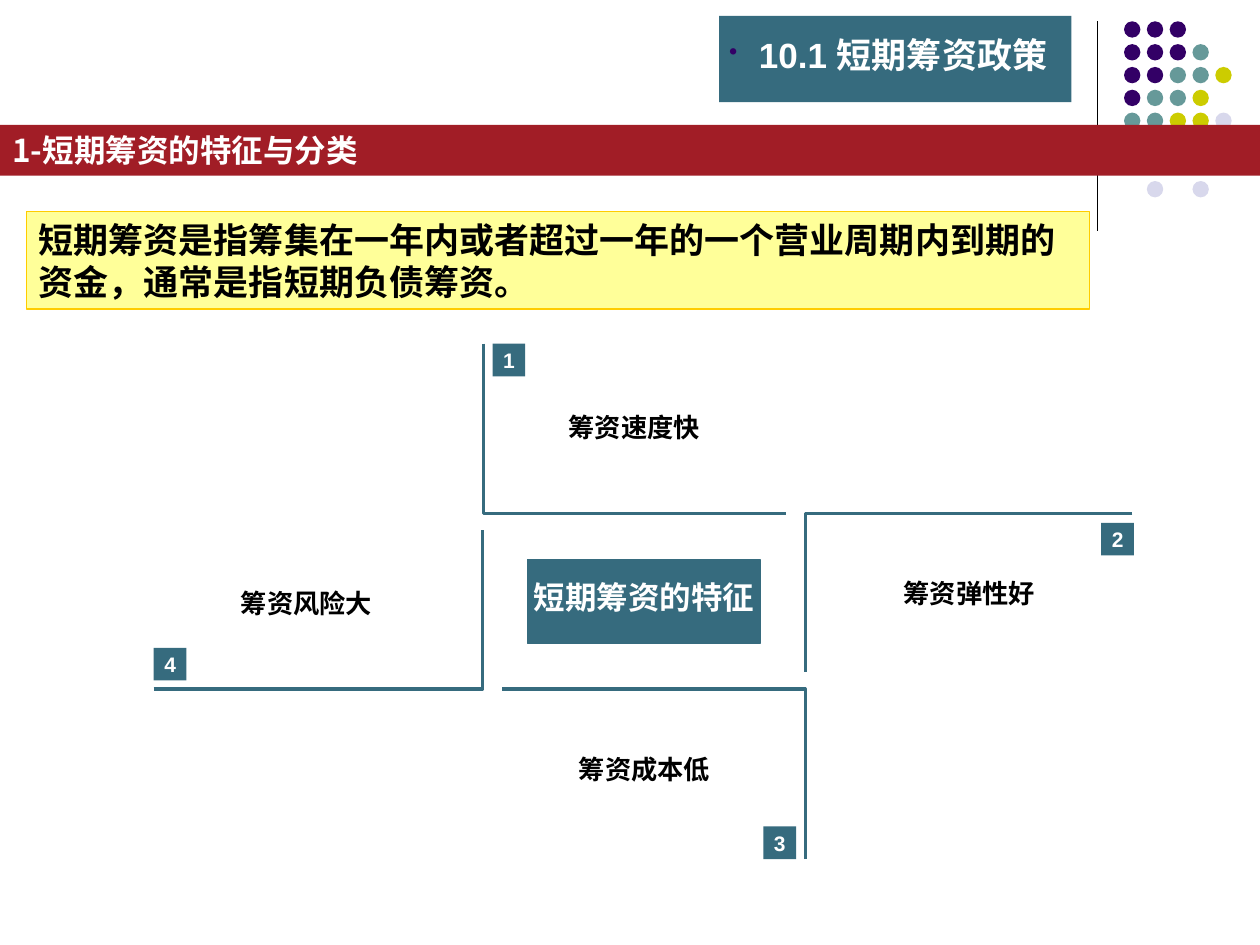
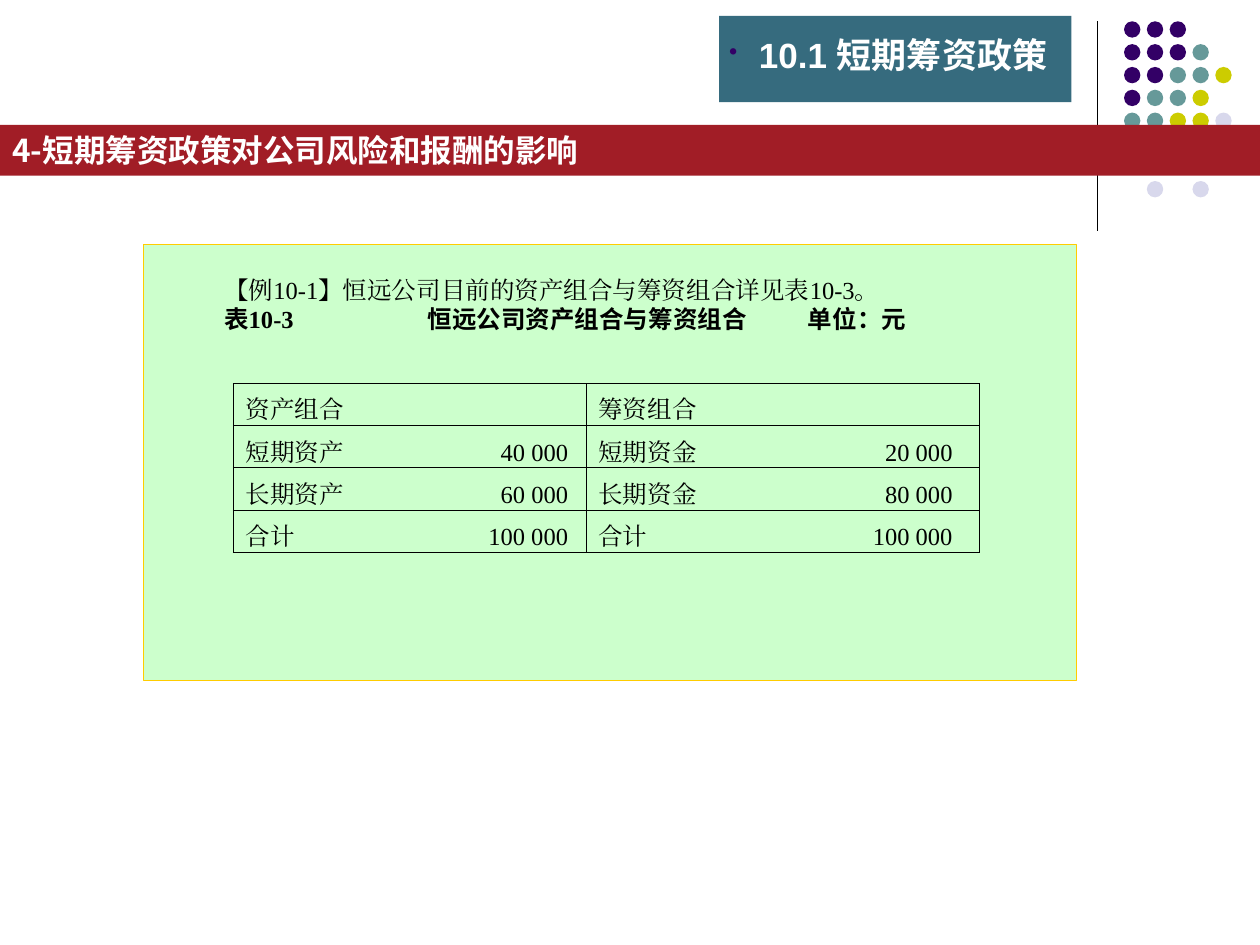
"""Build two slides on short-term financing policy."""
from lxml import etree
from pptx import Presentation
from pptx.dml.color import RGBColor
from pptx.enum import shapes, text
from pptx.oxml import ns
from pptx.util import Cm, Pt

COLORS = {
    "purple": "330066", "sage": "669999", "lime": "CCCC00", "lavender": "D8D8EC",
    "teal": "366B7E", "red": "A11D26", "yellow": "FFFF99", "green": "CCFFCC",
    "gold": "FFCC00", "black": "000000", "white": "FFFFFF",
}
SANS, CJK, SERIF = "Arial", "Noto Sans CJK SC", "Times New Roman"
DOT_ROWS = ("PPP", "PPPT", "PPTTY", "PTTY", "TTYYL", "", "YYLL", " L L")
DOT_COLORS = {"P": "purple", "T": "sage", "Y": "lime", "L": "lavender"}
FEATURES = (
    ("1", "筹资速度快", (9.93, 6.93), (9.75, 8.28, 6.07),
     ((9.75, 6.93), (9.75, 10.36), (15.85, 10.36))),
    ("2", "筹资弹性好", (22.2, 10.54), (18.08, 11.63, 2.92),
     ((22.83, 10.36), (16.23, 10.36), (16.23, 13.54))),
    ("3", "筹资成本低", (15.39, 16.66), (9.96, 15.19, 6.07),
     ((16.23, 17.32), (16.23, 13.89), (10.13, 13.89))),
    ("4", "筹资风险大", (3.1, 13.06), (4.72, 11.84, 2.92),
     ((3.1, 13.89), (9.73, 13.89), (9.73, 10.69))),
)
PORTFOLIO = (
    ("资产组合", "筹资组合"),
    ("短期资产\t40 000", "短期资金\t20 000"),
    ("长期资产\t60 000", "长期资金\t80 000"),
    ("合计\t100 000", "合计\t100 000"),
)


def rgb(color):
    """Return the named colour."""
    return RGBColor.from_string(COLORS[color])


def add_xml(parent, tag, **attrs):
    """Append a DrawingML element."""
    return etree.SubElement(parent, ns.qn(tag), attrs)


def add_run(p, words, size, color="black", font=SANS, bold=True):
    """Add a run with one face for Latin and East Asian text."""
    r = p.add_run()
    r.text = words
    r.font.size, r.font.bold, r.font.name = Pt(size), bold, font
    r.font.color.rgb = rgb(color)
    add_xml(r._r.get_or_add_rPr(), "a:ea", typeface=font)


def add_tabs(p, *stops):
    """Set tab stops given as (position in cm, alignment)."""
    tabs = add_xml(p._p.get_or_add_pPr(), "a:tabLst")
    for pos, align in stops:
        add_xml(tabs, "a:tab", pos=str(Cm(pos)), algn=align)


def add_bullet(p, color):
    """Give a paragraph a small round bullet."""
    pPr = p._p.get_or_add_pPr()
    pPr.set("marL", str(Cm(0.6)))
    pPr.set("indent", str(-Cm(0.6)))
    add_xml(add_xml(pPr, "a:buClr"), "a:srgbClr", val=COLORS[color])
    add_xml(pPr, "a:buSzPct", val="70000")
    add_xml(pPr, "a:buChar", char="•")


def setup_frame(sp, margins=(0, 0, 0, 0), align=text.PP_ALIGN.LEFT,
                anchor=text.MSO_ANCHOR.MIDDLE):
    """Prepare the text frame and return its first paragraph."""
    tf = sp.text_frame
    tf.word_wrap = True
    tf.vertical_anchor = anchor
    tf.margin_left, tf.margin_top, tf.margin_right, tf.margin_bottom = map(Cm, margins)
    p = tf.paragraphs[0]
    p.alignment = align
    return p


def add_box(s, x, y, w, h, fill, line=None, kind=shapes.MSO_SHAPE.RECTANGLE):
    """Add a filled shape without shadow."""
    sp = s.shapes.add_shape(kind, Cm(x), Cm(y), Cm(w), Cm(h))
    sp.shadow.inherit = False
    sp.fill.solid()
    sp.fill.fore_color.rgb = rgb(fill)
    if line:
        sp.line.color.rgb = rgb(line)
        sp.line.width = Pt(0.75)
    else:
        sp.line.fill.background()
    return sp


def add_bracket(s, points):
    """Draw an open corner line through three points."""
    start, *rest = [(Cm(x), Cm(y)) for x, y in points]
    builder = s.shapes.build_freeform(*start)
    builder.add_line_segments(rest, close=False)
    sp = builder.convert_to_shape()
    sp.shadow.inherit = False
    sp.fill.background()
    sp.line.color.rgb = rgb("teal")
    sp.line.width = Pt(1.75)


def add_decoration(s):
    """Draw the vertical rule and the dot pattern."""
    rule = s.shapes.add_connector(shapes.MSO_CONNECTOR.STRAIGHT,
                                  Cm(22.12), Cm(0.43), Cm(22.12), Cm(4.65))
    rule.line.color.rgb = rgb("black")
    rule.line.width = Pt(0.75)
    add_xml(rule._element.spPr, "a:effectLst")
    for row, codes in enumerate(DOT_ROWS):
        for col, code in enumerate(codes):
            if code in DOT_COLORS:
                add_box(s, 22.66 + 0.46 * col, 0.43 + 0.46 * row, 0.33, 0.33,
                        DOT_COLORS[code], kind=shapes.MSO_SHAPE.OVAL)


def add_base_slide(prs, heading):
    """Add a slide with decoration, chapter title and heading band."""
    s = prs.slides.add_slide(prs.slide_layouts[6])
    add_decoration(s)
    p = setup_frame(add_box(s, 14.5, 0.32, 7.1, 1.74, "teal"), (0.2, 0, 0, 0.17))
    add_bullet(p, "purple")
    add_run(p, "10.1 短期筹资政策", 20, "white")
    p = setup_frame(add_box(s, 0, 2.52, 25.4, 1.02, "red"), (0.25, 0, 0.25, 0))
    add_run(p, heading, 18, "white", CJK)
    return s


def add_feature(s, number, label, badge_at, label_at, points):
    """Add one feature: bracket, numbered badge and label."""
    center = text.PP_ALIGN.CENTER
    add_bracket(s, points)
    badge = add_box(s, *badge_at, 0.66, 0.66, "teal")
    add_run(setup_frame(badge, align=center), number, 12, "white")
    x, y, w = map(Cm, label_at)
    box = s.shapes.add_textbox(x, y, w, Cm(0.64))
    add_run(setup_frame(box, align=center), label, 15)


def add_cell_borders(cell):
    """Draw thin black borders around a cell."""
    tcPr = cell._tc.get_or_add_tcPr()
    for side in "LRTB":
        ln = add_xml(tcPr, f"a:ln{side}", w=str(Pt(0.45)))
        add_xml(add_xml(ln, "a:solidFill"), "a:srgbClr", val=COLORS["black"])


def add_portfolio_table(s):
    """Add the asset and financing mix table."""
    table = s.shapes.add_table(len(PORTFOLIO), 2, Cm(4.7), Cm(7.73),
                               Cm(15.04), Cm(3.4)).table
    table.first_row = table.horz_banding = False
    for column, width in zip(table.columns, (7.11, 7.93)):
        column.width = Cm(width)
    for i, entries in enumerate(PORTFOLIO):
        table.rows[i].height = Cm(0.85)
        for j, (entry, stop) in enumerate(zip(entries, (6.5, 7.14))):
            cell = table.cell(i, j)
            cell.margin_top, cell.margin_bottom = Cm(0.18), Cm(0.03)
            cell.vertical_anchor = text.MSO_ANCHOR.BOTTOM
            add_cell_borders(cell)
            cell.fill.background()
            p = cell.text_frame.paragraphs[0]
            add_tabs(p, (stop, "r"))
            add_run(p, entry, 14, font=SERIF, bold=False)


def add_caption(s):
    """Add the example sentence and the table caption."""
    box = s.shapes.add_textbox(Cm(4.27), Cm(5.41), Cm(15), Cm(1.6))
    p = setup_frame(box, (0.25, 0.13, 0.25, 0.13), anchor=text.MSO_ANCHOR.TOP)
    add_run(p, "【例10-1】恒远公司目前的资产组合与筹资组合详见表10-3。", 14,
            font=SERIF, bold=False)
    p = box.text_frame.add_paragraph()
    add_tabs(p, (7.32, "ctr"), (13.75, "r"))
    add_run(p, "表", 14)
    add_run(p, "10-3\t", 14, font=SERIF)
    add_run(p, "恒远公司资产组合与筹资组合\t单位：元", 14)


def build_features(prs):
    """Build the slide on the features of short-term financing."""
    s = add_base_slide(prs, "1-短期筹资的特征与分类")
    definition = add_box(s, 0.53, 4.27, 21.44, 1.96, "yellow", "gold")
    add_run(setup_frame(definition, (0.25, 0.13, 0.25, 0.13)),
            "短期筹资是指筹集在一年内或者超过一年的一个营业周期内到期的资金，"
            "通常是指短期负债筹资。", 20)
    for feature in FEATURES:
        add_feature(s, *feature)
    hub = add_box(s, 10.64, 11.28, 4.68, 1.7, "teal", "teal")
    add_run(setup_frame(hub, (0, 0, 0, 0.19), text.PP_ALIGN.CENTER),
            "短期筹资的特征", 18, "white")


def build_example(prs):
    """Build the slide with the portfolio example."""
    s = add_base_slide(prs, "4-短期筹资政策对公司风险和报酬的影响")
    add_box(s, 2.9, 4.93, 18.8, 8.79, "green", "gold")
    add_caption(s)
    add_portfolio_table(s)


def main():
    """Create and save the presentation."""
    prs = Presentation()
    prs.slide_width, prs.slide_height = Cm(25.4), Cm(19.05)
    build_features(prs)
    build_example(prs)
    prs.save("out.pptx")


if __name__ == "__main__":
    main()
